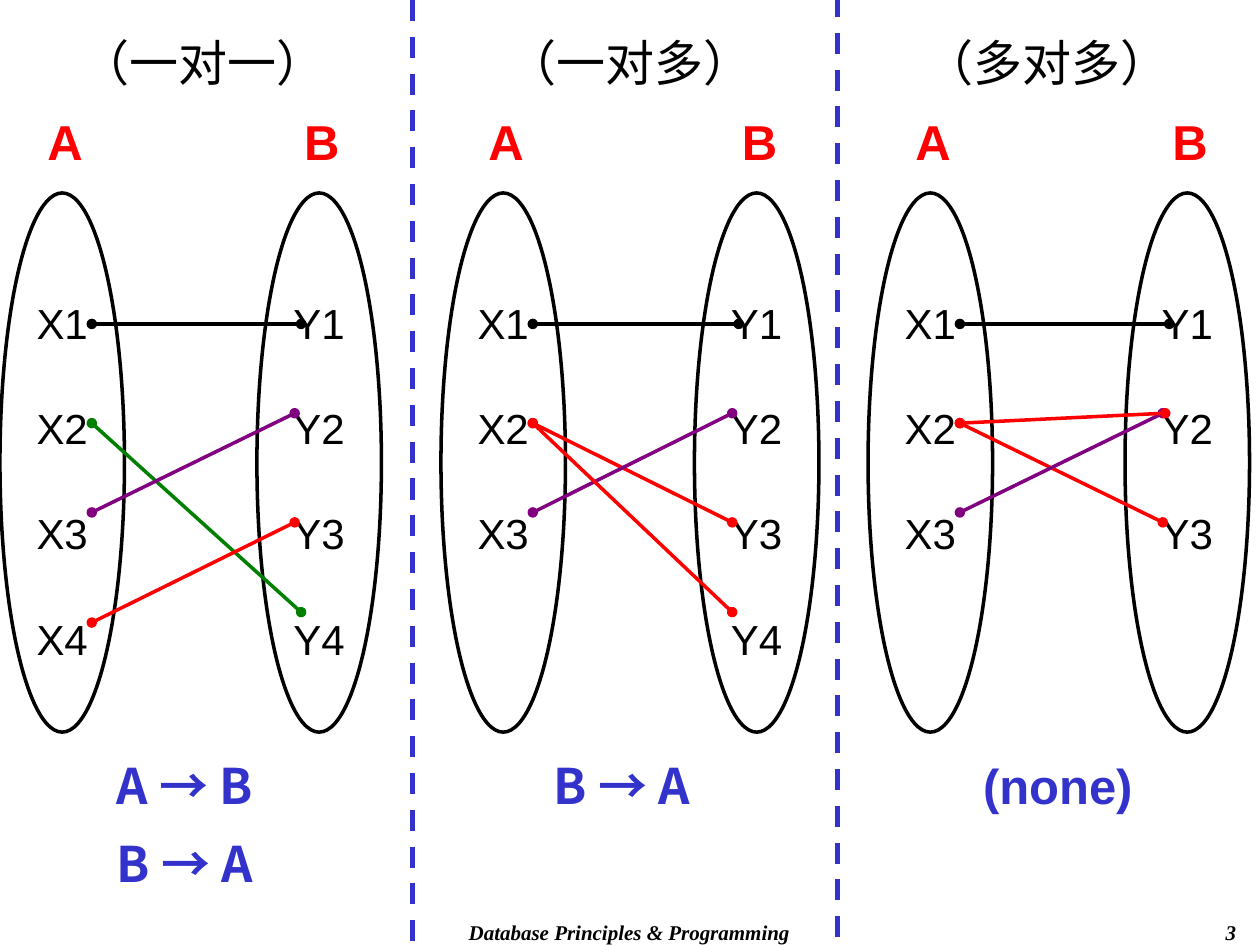
from lxml import etree
from pptx import Presentation
from pptx.dml.color import RGBColor
from pptx.enum import dml, shapes, text
from pptx.oxml import ns
from pptx.util import Cm, Pt

BLACK = RGBColor(0x00, 0x00, 0x00)
RED = RGBColor(0xFF, 0x00, 0x00)
GREEN = RGBColor(0x00, 0x80, 0x00)
PURPLE = RGBColor(0x80, 0x00, 0x80)
BLUE = RGBColor(0x33, 0x33, 0xCC)
CJK, LATIN, SERIF = "Noto Sans CJK SC", "Arial", "Times New Roman"
CENTER, RIGHT = text.PP_ALIGN.CENTER, text.PP_ALIGN.RIGHT

ELLIPSE_TOP, ELLIPSE_WIDTH, ELLIPSE_HEIGHT = 3.89, 2.51, 10.87
X_ENDS = {1: 6.53, 2: 8.53, 3: 10.33, 4: 12.55}
Y_ENDS = {1: 6.53, 2: 8.33, 3: 10.53, 4: 12.34}
NEAR, FAR = 0.76, 0.89  # how far a link reaches into ellipse B

# title, title left, A left, B left, X count, Y count,
# dependencies, their font, their left, links (X, Y, colour, reach)
PANELS = [
    ("（一对一）", 0.69, 0, 5.18, 4, 4, ["A → B", "B → A"], CJK, 1.5,
     [(1, 1, BLACK, FAR), (2, 4, GREEN, FAR),
      (3, 2, PURPLE, NEAR), (4, 3, RED, NEAR)]),
    ("（一对多）", 9.3, 8.89, 14, 3, 4, ["B → A"], CJK, 10.31,
     [(1, 1, BLACK, FAR), (2, 3, RED, NEAR),
      (3, 2, PURPLE, NEAR), (2, 4, RED, NEAR)]),
    ("（多对多）", 17.7, 17.5, 22.68, 3, 3, ["(none)"], LATIN, 19.1,
     [(1, 1, BLACK, FAR), (2, 3, RED, NEAR),
      (3, 2, PURPLE, NEAR), (2, 2, RED, 0.81)]),
]


def write(shape, lines, font, size, color, bold=False, italic=False,
          align=CENTER, gap=0, spacing=None):
    """Fill a shape with one paragraph per line, gap points apart."""
    frame = shape.text_frame
    frame.word_wrap = True
    frame.vertical_anchor = text.MSO_ANCHOR.TOP
    frame.text = "\n".join(lines)
    for index, paragraph in enumerate(frame.paragraphs):
        paragraph.alignment = align
        paragraph.line_spacing = spacing
        paragraph.space_before = Pt(gap if index else 0)
        run = paragraph.runs[0]
        run.font.name, run.font.size = font, Pt(size)
        run.font.bold, run.font.italic = bold, italic
        run.font.color.rgb = color
        east_asian = etree.SubElement(run.font._element, ns.qn("a:ea"))
        east_asian.set("typeface", font)


def add_line(parent, start, end, color, width):
    line = parent.add_connector(shapes.MSO_CONNECTOR.STRAIGHT,
                                *map(Cm, start + end))
    line.line.color.rgb = color
    line.line.width = Pt(width)
    etree.SubElement(line._element.spPr, ns.qn("a:effectLst"))
    return line


deck = Presentation()
deck.slide_width, deck.slide_height = Cm(25.4), Cm(19.05)
slide = deck.slides.add_slide(deck.slide_layouts[6])

for x, top in [(8.31, 0), (16.89, -0.08)]:
    divider = add_line(slide.shapes, (x, top), (x, top + 19.05), BLUE, 3)
    divider.line.dash_style = dml.MSO_LINE.DASH

for (title, title_left, a_left, b_left, x_count, y_count,
     dependencies, dependency_font, dependency_left, links) in PANELS:
    panel = slide.shapes.add_group_shape().shapes

    dependency = panel.add_textbox(Cm(dependency_left), Cm(15.11), Cm(4.45),
                                   Cm(1.45 + 1.8 * (len(dependencies) - 1)))
    write(dependency, dependencies, dependency_font, 28, BLUE, bold=True, gap=11)

    for name, member, left, count in [("A", "X", a_left, x_count),
                                      ("B", "Y", b_left, y_count)]:
        ellipse = panel.add_shape(shapes.MSO_SHAPE.OVAL, Cm(left), Cm(ELLIPSE_TOP),
                                  Cm(ELLIPSE_WIDTH), Cm(ELLIPSE_HEIGHT))
        ellipse.shadow.inherit = False
        ellipse.fill.background()
        ellipse.line.color.rgb = BLACK
        ellipse.line.width = Pt(2)
        ellipse.text_frame.margin_top = ellipse.text_frame.margin_bottom = 0
        write(ellipse, [f"{member}{i}" for i in range(1, count + 1)],
              LATIN, 24, BLACK, gap=17, spacing=1.5)
        heading = panel.add_textbox(Cm(left + 0.22), Cm(2.13), Cm(2.18), Cm(1.45))
        write(heading, [name], LATIN, 28, RED, bold=True)

    for x_row, y_row, color, reach in links:
        link = add_line(panel, (a_left + 1.85, X_ENDS[x_row]),
                        (b_left + reach, Y_ENDS[y_row]), color, 2)
        outline = link.line._get_or_add_ln()
        for end in ("a:headEnd", "a:tailEnd"):
            etree.SubElement(outline, ns.qn(end)).set("type", "oval")

    caption = panel.add_textbox(Cm(title_left), Cm(0.53), Cm(6.81), Cm(1.45))
    write(caption, [title], CJK, 28, BLACK)

for words, left, width, align in [
        ("Database Principles & Programming", 7.19, 11, CENTER),
        ("3", 19.89, 5.28, RIGHT)]:
    footer = slide.shapes.add_textbox(Cm(left), Cm(18.42), Cm(width), Cm(0.63))
    write(footer, [words], SERIF, 12, BLACK, bold=True, italic=True, align=align)

deck.save("out.pptx")
